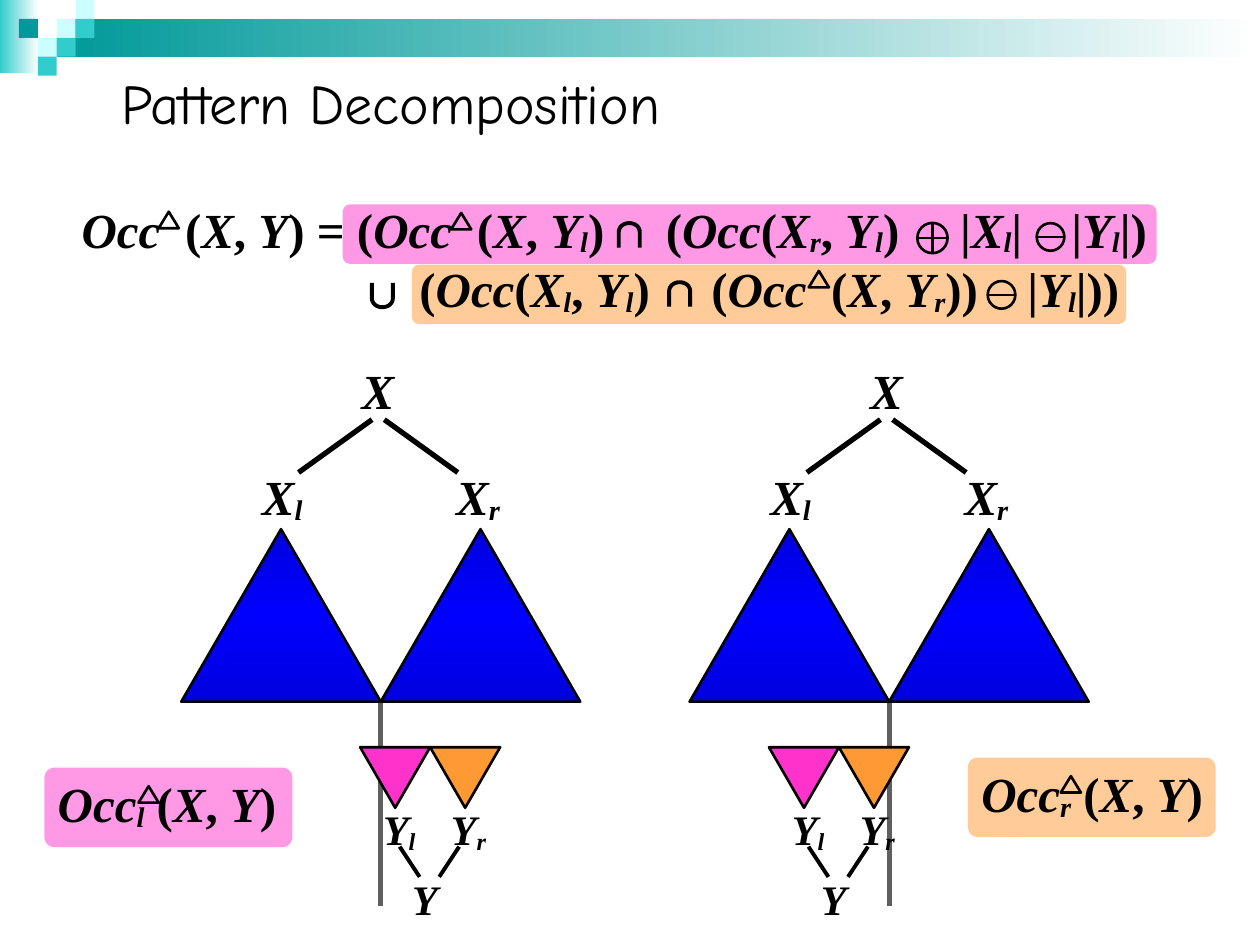
from copy import deepcopy
from itertools import groupby
from math import cos, pi, sin

from pptx import Presentation
from pptx.dml.color import RGBColor
from pptx.enum.shapes import MSO_CONNECTOR as Conn, MSO_SHAPE as Kind
from pptx.enum.text import MSO_ANCHOR as Anchor, MSO_AUTO_SIZE as Fit, PP_ALIGN as Align
from pptx.oxml.ns import qn
from pptx.oxml.xmlchemy import OxmlElement as Node
from pptx.util import Pt

rgb = RGBColor.from_string
BLACK, PINK, ORANGE = "000000", "FF33CC", "FF9933"
TEAL, AQUA, PALE = "009999", "33CCCC", "CCFFFF"

deck = Presentation()
deck.slide_width, deck.slide_height = Pt(720), Pt(540)
slide = deck.slides.add_slide(deck.slide_layouts[5])
shapes = slide.shapes


def put(kind, x, y, w, h, fill=None, line=0):
    """Add a shape; fill is None, one colour, or a list of gradient colours."""
    shape = shapes.add_shape(kind, Pt(x), Pt(y), Pt(w), Pt(h))
    shape.shadow.inherit = False
    if fill is None:
        shape.fill.background()
    elif isinstance(fill, str):
        shape.fill.solid()
        shape.fill.fore_color.rgb = rgb(fill)
    else:
        shape.fill.gradient()
        stops = shape._element.spPr.find(".//" + qn("a:gsLst"))
        while len(stops) < len(fill):
            stops.append(deepcopy(stops[0]))
        for i, (stop, hue) in enumerate(zip(shape.fill.gradient_stops, fill)):
            stop.position = i / (len(fill) - 1)
            stop.color.rgb = rgb(hue)
        shape.fill.gradient_angle = 180 if len(fill) == 2 else 90
    if line:
        shape.line.color.rgb = rgb(BLACK)
        shape.line.width = Pt(line)
    else:
        shape.line.fill.background()
    return shape


def write(x, y, w, h, size, *rows):
    """Add maths text: letters are italic, and parts between underscores are subscripts."""
    box = shapes.add_textbox(Pt(x), Pt(y), Pt(w), Pt(h))
    frame = box.text_frame
    frame.word_wrap = False
    for i, row in enumerate(rows):
        para = frame.add_paragraph() if i else frame.paragraphs[0]
        for j, part in enumerate(row.split("_")):
            sub = j % 2 == 1
            for slant, chars in groupby(part, lambda c: sub or c.isalpha()):
                run = para.add_run()
                run.text = "".join(chars)
                font = run.font
                font.name, font.size = "Times New Roman", Pt(size)
                font.bold, font.italic = True, slant
                font.color.rgb = rgb(BLACK)
                if sub:
                    run._r.get_or_add_rPr().set("baseline", "-10000")
    return frame


# Banner
put(Kind.RECTANGLE, 0, 0, 22, 42, ["FFFFFF", AQUA])
put(Kind.RECTANGLE, 32.4, 10.8, 687.6, 21.6, ["FFFFFF", TEAL])
tile = 10.8
for col, row, hue in [(3, 1, PALE), (4, 0, PALE), (4, 1, AQUA), (2, 2, PALE),
                      (1, 1, TEAL), (3, 2, AQUA), (2, 3, AQUA)]:
    put(Kind.RECTANGLE, col * tile, row * tile, tile, tile, hue)

# Title
title = shapes.title
title.left, title.top, title.width, title.height = Pt(62), Pt(35.3), Pt(325), Pt(46)
frame = title.text_frame
frame.text = "Pattern Decomposition"
frame.word_wrap, frame.auto_size = False, Fit.NONE
frame.vertical_anchor = Anchor.TOP
frame.paragraphs[0].alignment = Align.LEFT
font = frame.paragraphs[0].runs[0].font
font.name, font.size = "Comic Neue", Pt(32)
font.color.rgb = rgb(BLACK)

# Translucent highlights
for x, y, w, h, hue in [(235.4, 151.2, 408.2, 34, ORANGE), (195.8, 116.8, 465.1, 34, PINK),
                        (25.4, 438.7, 141.7, 45.4, PINK), (553, 432.9, 141.7, 45.4, ORANGE)]:
    mark = put(Kind.ROUNDED_RECTANGLE, x, y, w, h, hue)
    mark.adjustments[0] = 0.125
    alpha = Node("a:alpha")
    alpha.set("val", "50000")
    mark._element.spPr.find(".//" + qn("a:srgbClr")).append(alpha)

# Straight lines: operator strokes, then the branches and stem of each tree
trees = [(217.6, 205.8), (508.1, 439.4)]  # centre of the X tree, left of the Y tree
lines = [(524.2, 136.1, 541.4, 136.1, 1.5, BLACK), (532.8, 127.4, 532.8, 144.7, 1.5, BLACK),
         (592.4, 135.4, 608, 135.4, 1.5, BLACK), (564.4, 168.5, 580, 168.5, 1.5, BLACK)]
for mid, left in trees:
    lines += [(mid - 5, 239.8, mid - 47, 270, 3, BLACK),
              (mid + 2, 239.8, mid + 44, 270, 3, BLACK),
              (mid, 401, mid, 517.7, 3, "5F5F5F"),
              (left + 22.6, 483.8, left + 34, 501.1, 2.25, BLACK),
              (left + 56.6, 483.8, left + 45.2, 501.1, 2.25, BLACK)]
for x1, y1, x2, y2, wide, hue in lines:
    line = shapes.add_connector(Conn.STRAIGHT, Pt(x1), Pt(y1), Pt(x2), Pt(y2))
    line.line.color.rgb = rgb(hue)
    line.line.width = Pt(wide)
    line._element.spPr.append(Node("a:effectLst"))

# Trees
for mid, left in trees:
    for x in (mid - 114, mid):
        put(Kind.ISOSCELES_TRIANGLE, x, 302.4, 114, 98.6, ["0000DF", "0000FF", "0000DF"], 1.5)
    for i, hue in enumerate([PINK, ORANGE]):
        put(Kind.ISOSCELES_TRIANGLE, left + 40 * i, 427, 40, 34.6, hue, 1.5).rotation = 180
    write(mid - 18, 202.3, 44.6, 41, 28, "X")
    write(mid - 75, 262.8, 42.5, 41.8, 28, "X_l_")
    write(mid + 36, 262.8, 41.8, 41.8, 28, "X_r_")
    write(left + 6, 455.8, 38, 36.7, 24, "Y_l_")
    write(left + 44.8, 455.8, 38, 36.7, 24, "Y_r_")
    write(left + 22.6, 495.4, 32, 36, 24, "Y")

# Formula: tab stops leave room for the drawn operators
formula = write(39.6, 110.2, 640, 75.6, 28,
                "Occ\t(X, Y) = (Occ\t(X, Y_l_)\t(Occ(X_r_, Y_l_)\t|X_l_|\t|Y_l_|)",
                "\t(Occ(X_l_, Y_l_)\t(Occ\t(X, Y_r_))\t|Y_l_|))")
formula.word_wrap = True
stops = [(59.1, 225.9, 333.8, 502, 565.5), (193, 359.9, 428.3, 540.4)]
for para, row in zip(formula.paragraphs, stops):
    tabs = Node("a:tabLst")
    for pos in row:
        tab = Node("a:tab")
        tab.set("pos", str(Pt(pos)))
        tab.set("algn", "l")
        tabs.append(tab)
    para._p.get_or_add_pPr().append(tabs)

write(25.9, 438.5, 146, 41.8, 28, "Occ_l_ (X, Y)")
write(553.7, 432.7, 146, 41.8, 28, "Occ_r_ (X, Y)")

# Operators
for x, y in [(257.8, 121.7), (90.7, 121), (462.2, 154.8), (79.2, 449.3), (606.2, 443.5)]:
    put(Kind.ISOSCELES_TRIANGLE, x, y, 11.5, 9.4, None, 1.5)
for x, y, d in [(524.2, 127.4, 17.3), (592.4, 127.5, 15.8), (564.4, 160.6, 15.8)]:
    put(Kind.OVAL, x, y, d, d, None, 1.5)

# Cup (way 1) and caps (way -1): a leg, half an ellipse, a leg
for x, y, way in [(218.5, 170.6, 1), (359.6, 132.5, -1), (388.4, 166.3, -1)]:
    arc = [(x - 6 * cos(pi * i / 16), y + way * 5 * sin(pi * i / 16)) for i in range(17)]
    path = shapes.build_freeform(Pt(x - 6), Pt(y - way * 9))
    path.add_line_segments([(Pt(a), Pt(b)) for a, b in arc + [(x + 6, y - way * 9)]], close=False)
    sign = path.convert_to_shape()
    sign.shadow.inherit = False
    sign.fill.background()
    sign.line.color.rgb = rgb(BLACK)
    sign.line.width = Pt(2.25)

deck.save("out.pptx")
